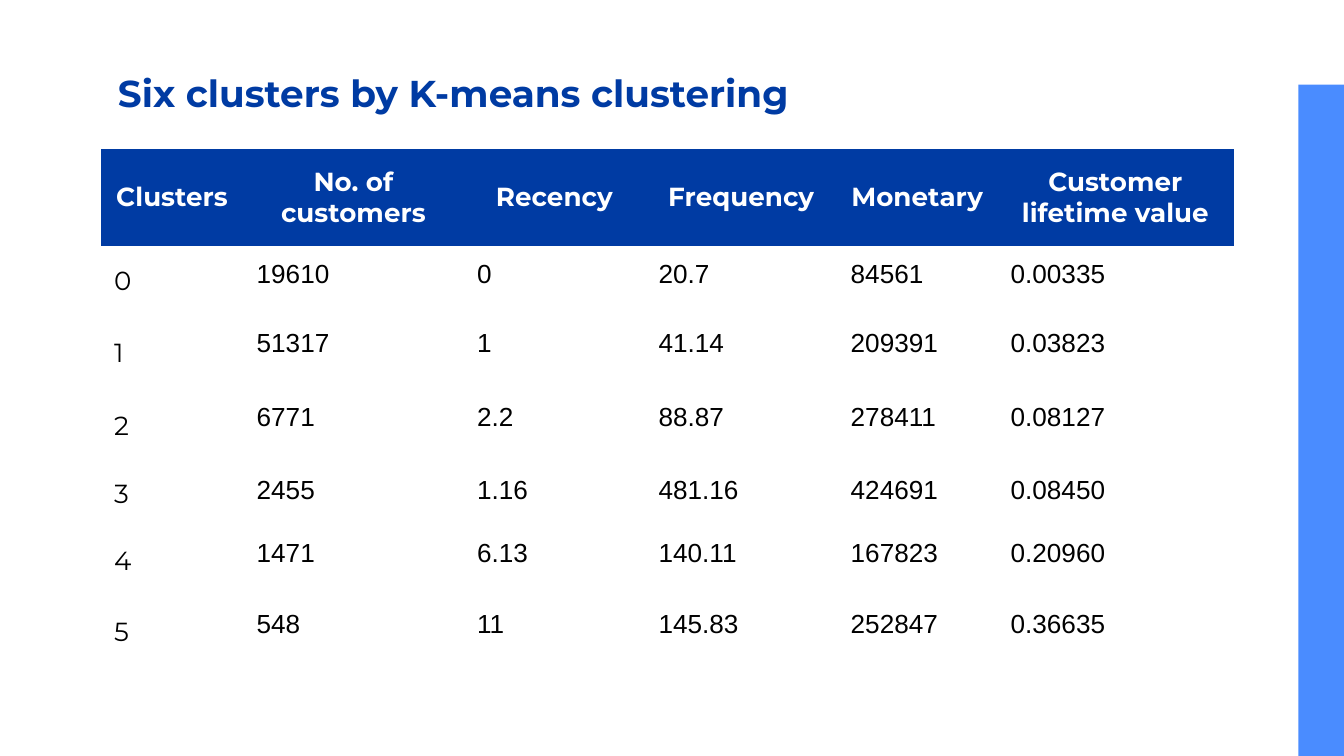
from pptx import Presentation
from pptx.dml.color import RGBColor
from pptx.enum.shapes import MSO_SHAPE
from pptx.enum.text import MSO_ANCHOR as Anchor, PP_ALIGN as Align
from pptx.oxml.ns import qn
from pptx.util import Inches, Pt

NAVY, BLUE, WHITE, BLACK = "003BA3", "4A8CFF", "FFFFFF", "000000"
HEADING_FONT, NUMBER_FONT = "Montserrat", "Arial"
NO_STYLE_NO_GRID = "{2D5ABB26-0587-4C30-8999-92F81FD0307C}"

COLUMN_WIDTHS = [1.06, 1.64, 1.35, 1.43, 1.19, 1.76]
ROW_HEIGHTS = [0.72, 0.52, 0.55, 0.54, 0.47, 0.53, 0.53]
CLUSTER_ROWS = [
    ["Clusters", "No. of customers", "Recency", "Frequency", "Monetary",
     "Customer lifetime value"],
    ["0", "19610", "0", "20.7", "84561", "0.00335"],
    ["1", "51317", "1", "41.14", "209391", "0.03823"],
    ["2", "6771", "2.2", "88.87", "278411", "0.08127"],
    ["3", "2455", "1.16", "481.16", "424691", "0.08450"],
    ["4", "1471", "6.13", "140.11", "167823", "0.20960"],
    ["5", "548", "11", "145.83", "252847", "0.36635"],
]


def color(hex_string):
    return RGBColor.from_string(hex_string)


def set_margins(target):
    """Give a cell or text frame the same inset on all four sides."""
    target.margin_left = target.margin_right = Inches(0.1)
    target.margin_top = target.margin_bottom = Inches(0.1)


def style_paragraph(paragraph, font_name, size, hex_string, bold=False, align=Align.LEFT):
    paragraph.alignment = align
    font = paragraph.font
    font.name, font.size, font.bold = font_name, Pt(size), bold
    font.color.rgb = color(hex_string)


def add_side_bar(slide, left, top, width, height):
    """Add a bar that is drawn lying down and turned upright about its centre."""
    bar = slide.shapes.add_shape(
        MSO_SHAPE.RECTANGLE, Inches(left), Inches(top), Inches(width), Inches(height))
    bar.rotation = 90
    bar.shadow.inherit = False
    bar.fill.solid()
    bar.fill.fore_color.rgb = color(BLUE)
    bar.line.fill.background()


def add_title(slide, text, left, top, width, height):
    box = slide.shapes.add_textbox(Inches(left), Inches(top), Inches(width), Inches(height))
    frame = box.text_frame
    frame.word_wrap = True
    frame.vertical_anchor = Anchor.TOP
    set_margins(frame)
    frame.text = text
    style_paragraph(frame.paragraphs[0], HEADING_FONT, 20, NAVY, bold=True)


def fill_cell(cell, text, is_header, is_label):
    """Write one cell; labels are the cluster numbers in the first column."""
    cell.text = text
    set_margins(cell)
    cell.vertical_anchor = Anchor.MIDDLE if is_header or is_label else Anchor.TOP
    paragraph = cell.text_frame.paragraphs[0]
    if is_header:
        cell.fill.solid()
        cell.fill.fore_color.rgb = color(NAVY)
        style_paragraph(paragraph, HEADING_FONT, 14, WHITE, bold=True, align=Align.CENTER)
    else:
        cell.fill.background()
        style_paragraph(paragraph, HEADING_FONT if is_label else NUMBER_FONT, 14, BLACK)


def add_cluster_table(slide, left, top):
    table = slide.shapes.add_table(
        len(ROW_HEIGHTS), len(COLUMN_WIDTHS), Inches(left), Inches(top),
        Inches(sum(COLUMN_WIDTHS)), Inches(sum(ROW_HEIGHTS))).table
    table.horz_banding = False
    table._tbl.tblPr.find(qn("a:tableStyleId")).text = NO_STYLE_NO_GRID
    for column, width in zip(table.columns, COLUMN_WIDTHS):
        column.width = Inches(width)
    for row, height in zip(table.rows, ROW_HEIGHTS):
        row.height = Inches(height)
    for row_index, values in enumerate(CLUSTER_ROWS):
        for column_index, value in enumerate(values):
            fill_cell(table.cell(row_index, column_index), value,
                      is_header=row_index == 0, is_label=column_index == 0)


def main():
    presentation = Presentation()
    presentation.slide_width = Inches(10)
    presentation.slide_height = Inches(10 * 9 / 16)
    slide = presentation.slides.add_slide(presentation.slide_layouts[6])
    add_side_bar(slide, 7.33, 2.96, 5, 0.34)
    add_title(slide, "Six clusters by K-means clustering", 0.78, 0.42, 8.43, 0.71)
    add_cluster_table(slide, 0.75, 1.11)
    presentation.save("out.pptx")


if __name__ == "__main__":
    main()
